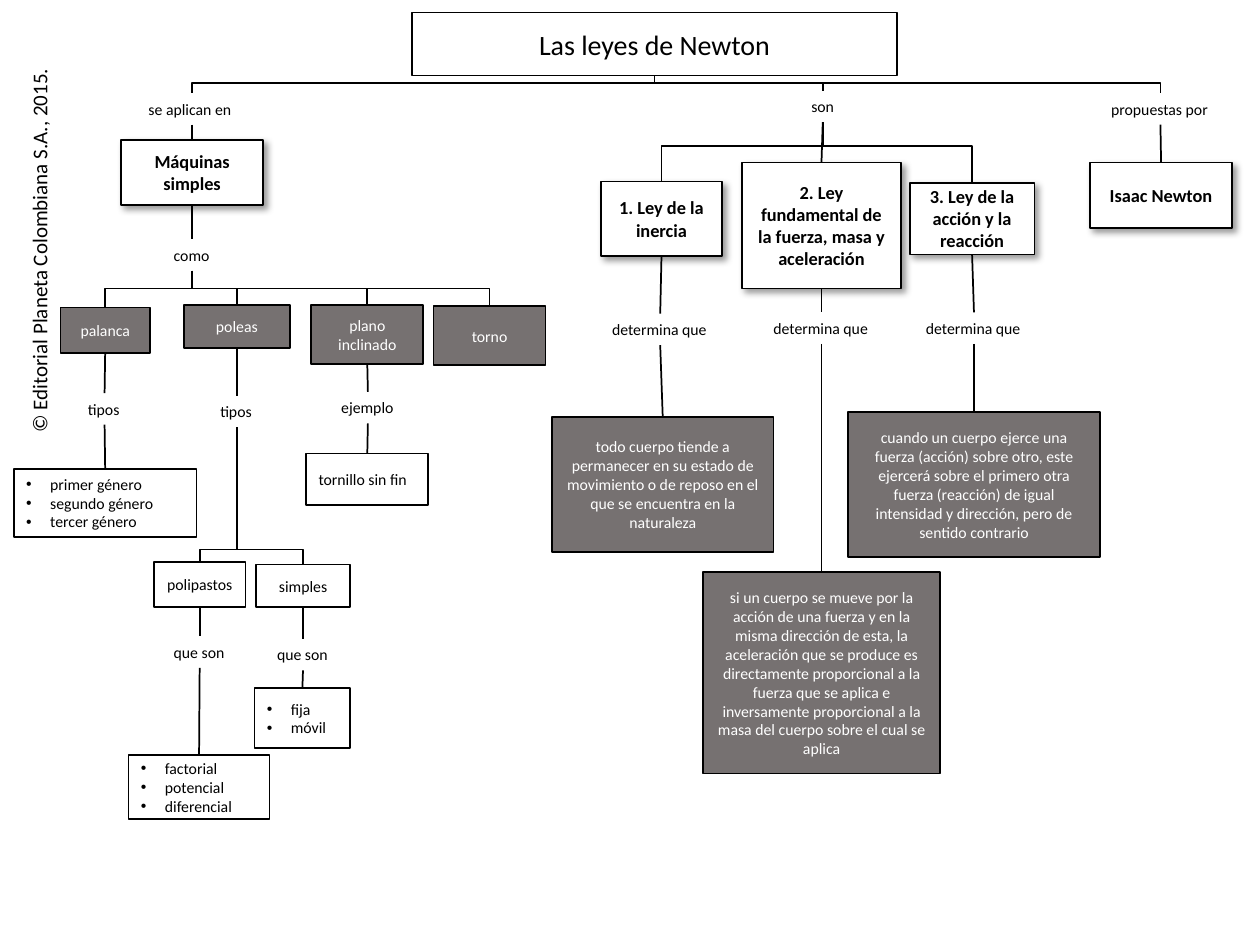
from lxml import etree
from pptx import Presentation
from pptx.dml.color import RGBColor
from pptx.enum.shapes import MSO_CONNECTOR, MSO_SHAPE
from pptx.enum.text import MSO_ANCHOR, MSO_AUTO_SIZE, PP_ALIGN
from pptx.oxml import parse_xml
from pptx.oxml.ns import nsdecls, qn
from pptx.util import Inches, Pt

BLACK = RGBColor(0x00, 0x00, 0x00)
WHITE = RGBColor(0xFF, 0xFF, 0xFF)
GRAY = RGBColor(0x76, 0x71, 0x71)
FONT = "Calibri"
RECTANGLE = MSO_SHAPE.RECTANGLE
STRAIGHT, ELBOW = MSO_CONNECTOR.STRAIGHT, MSO_CONNECTOR.ELBOW
MIDDLE, NO_AUTOFIT = MSO_ANCHOR.MIDDLE, MSO_AUTO_SIZE.NONE
LEFT, CENTER = PP_ALIGN.LEFT, PP_ALIGN.CENTER

SHADOW = (
    f'<a:effectLst {nsdecls("a")}><a:outerShdw blurRad="50800" dist="38100" '
    'dir="2700000" algn="tl" rotWithShape="0"><a:srgbClr val="000000">'
    '<a:alpha val="40000"/></a:srgbClr></a:outerShdw></a:effectLst>'
)

# style: fill, text colour, size, bold, alignment
STYLES = {
    "title": (WHITE, BLACK, 16, False, CENTER),
    "concept": (WHITE, BLACK, 10.5, True, CENTER),
    "dark": (GRAY, WHITE, 9, False, CENTER),
    "light": (WHITE, BLACK, 9, False, CENTER),
    "example": (WHITE, BLACK, 9, False, LEFT),
    "list": (WHITE, BLACK, 9, False, LEFT),
    "link": (None, BLACK, 9, False, LEFT),
}

# node: style, left, top, width, height, paragraphs
NODES = {
    "leyes": ("title", 3.27, 0.1, 3.85, 0.5, ["Las leyes de Newton"]),
    "se aplican": ("link", 1.08, 0.74, 0.89, 0.25, ["se aplican en"]),
    "son": ("link", 6.34, 0.72, 0.38, 0.25, ["son"]),
    "propuestas": ("link", 8.72, 0.74, 0.98, 0.25, ["propuestas por"]),
    "máquinas": ("concept", 0.96, 1.11, 1.13, 0.52, ["Máquinas simples"]),
    "ley 1": ("concept", 4.77, 1.44, 0.96, 0.59, ["1. Ley de la inercia"]),
    "ley 2": ("concept", 5.89, 1.29, 1.26, 1,
              ["2. Ley fundamental de la fuerza, masa y aceleración"]),
    "ley 3": ("concept", 7.22, 1.45, 0.99, 0.57, ["3. Ley de la acción y la reacción"]),
    "newton": ("concept", 8.65, 1.29, 1.13, 0.52, ["Isaac Newton"]),
    "como": ("link", 1.28, 1.9, 0.49, 0.25, ["como"]),
    "palanca": ("dark", 0.48, 2.44, 0.71, 0.36, ["palanca"]),
    "poleas": ("dark", 1.46, 2.42, 0.84, 0.34, ["poleas"]),
    "plano": ("dark", 2.47, 2.42, 0.89, 0.47, ["plano inclinado"]),
    "torno": ("dark", 3.44, 2.43, 0.89, 0.47, ["torno"]),
    "tipos palanca": ("link", 0.6, 3.12, 0.46, 0.25, ["tipos"]),
    "tipos poleas": ("link", 1.65, 3.14, 0.46, 0.25, ["tipos"]),
    "ejemplo": ("link", 2.61, 3.11, 0.62, 0.25, ["ejemplo"]),
    "géneros": ("list", 0.11, 3.72, 1.45, 0.54,
                ["primer género", "segundo género", "tercer género"]),
    "tornillo": ("example", 2.43, 3.6, 0.97, 0.41, ["tornillo sin fin"]),
    "polipastos": ("light", 1.22, 4.46, 0.73, 0.36, ["polipastos"]),
    "simples": ("light", 2.03, 4.48, 0.75, 0.34, ["simples"]),
    "son polipastos": ("link", 1.28, 5.05, 0.61, 0.25, ["que son"]),
    "son simples": ("link", 2.1, 5.07, 0.61, 0.25, ["que son"]),
    "clases polipastos": ("list", 1.02, 5.99, 1.12, 0.51,
                          ["factorial", "potencial", "diferencial"]),
    "clases simples": ("list", 2.02, 5.46, 0.76, 0.48, ["fija", "móvil"]),
    "determina 1": ("link", 4.76, 2.49, 0.96, 0.25, ["determina que"]),
    "determina 2": ("link", 6.04, 2.48, 0.96, 0.25, ["determina que"]),
    "determina 3": ("link", 7.25, 2.48, 0.96, 0.25, ["determina que"]),
    "enunciado 1": ("dark", 4.38, 3.31, 1.76, 1.07, [
        "todo cuerpo tiende a permanecer en su estado de movimiento o de reposo "
        "en el que se encuentra en la naturaleza"]),
    "enunciado 2": ("dark", 5.58, 4.54, 1.88, 1.6, [
        "si un cuerpo se mueve por la acción de una fuerza y en la misma dirección "
        "de esta, la aceleración que se produce es directamente proporcional a la "
        "fuerza que se aplica e inversamente proporcional a la masa del cuerpo "
        "sobre el cual se aplica"]),
    "enunciado 3": ("dark", 6.73, 3.27, 2, 1.15, [
        "cuando un cuerpo ejerce una fuerza (acción) sobre otro, este ejercerá "
        "sobre el primero otra fuerza (reacción) de igual intensidad y dirección, "
        "pero de sentido contrario"]),
}

# chains of straight lines, each node to the next
CHAINS = [
    ["se aplican", "máquinas", "como"],
    ["palanca", "tipos palanca", "géneros"],
    ["poleas", "tipos poleas"],
    ["plano", "ejemplo", "tornillo"],
    ["polipastos", "son polipastos", "clases polipastos"],
    ["simples", "son simples", "clases simples"],
    ["son", "ley 2", "determina 2", "enunciado 2"],
    ["ley 1", "determina 1", "enunciado 1"],
    ["ley 3", "determina 3", "enunciado 3"],
    ["propuestas", "newton"],
]

# branching: parent, height of the horizontal stretch, children
BRANCHES = [
    ("leyes", 0.66, ["se aplican", "son", "propuestas"]),
    ("son", 1.16, ["ley 1", "ley 3"]),
    ("como", 2.29, ["palanca", "poleas", "plano", "torno"]),
    ("tipos poleas", 4.36, ["polipastos", "simples"]),
]


def link_ends(parent, child):
    """Return the bottom centre of the parent and the top centre of the child."""
    _, left, top, width, height, _ = NODES[parent]
    _, child_left, child_top, child_width, _, _ = NODES[child]
    return left + width / 2, top + height, child_left + child_width / 2, child_top


def add_link(kind, x1, y1, x2, y2):
    link = slide.shapes.add_connector(kind, Inches(x1), Inches(y1), Inches(x2), Inches(y2))
    link.line.color.rgb = BLACK
    link.line.width = Pt(1)
    etree.SubElement(link._element.spPr, qn("a:effectLst"))
    return link


prs = Presentation()
prs.slide_width, prs.slide_height = Inches(10), Inches(7.5)
slide = prs.slides.add_slide(prs.slide_layouts[5])

copyright_line = slide.shapes.add_textbox(Inches(-1.25), Inches(1.82), Inches(3.12), Inches(0.3))
copyright_line.rotation = 270
copyright_line.text_frame.word_wrap = False
run = copyright_line.text_frame.paragraphs[0].add_run()
run.text = "© Editorial Planeta Colombiana S.A., 2015."
run.font.name, run.font.size = FONT, Pt(12)
run.font.color.rgb = BLACK

for chain in CHAINS:
    for parent, child in zip(chain, chain[1:]):
        add_link(STRAIGHT, *link_ends(parent, child))

for parent, bus, children in BRANCHES:
    for child in children:
        x1, y1, x2, y2 = link_ends(parent, child)
        run_x, run_y = abs(x2 - x1), y2 - y1
        # An elbow starts sideways, so it is laid out on its side and then turned
        left = (x1 + x2 - run_y) / 2
        top = (y1 + y2 - run_x) / 2
        elbow = add_link(ELBOW, left, top, left + run_y, top + run_x)
        xfrm = elbow._element.spPr.find(qn("a:xfrm"))
        if x2 < x1:
            xfrm.set("rot", "5400000")
        else:
            xfrm.set("rot", "16200000")
            xfrm.set("flipH", "1")
        adjustments = elbow._element.spPr.find(qn("a:prstGeom")).get_or_add_avLst()
        bend = round((bus - y1) / run_y * 100000)
        etree.SubElement(adjustments, qn("a:gd"), name="adj1", fmla=f"val {bend}")

for style, left, top, width, height, paragraphs in NODES.values():
    fill, color, size, bold, alignment = STYLES[style]
    place = Inches(left), Inches(top), Inches(width), Inches(height)
    if style == "title":
        node = slide.shapes.title
        node.left, node.top, node.width, node.height = place
    elif style == "link":
        node = slide.shapes.add_textbox(*place)
    else:
        node = slide.shapes.add_shape(RECTANGLE, *place)
        node.shadow.inherit = False
    if fill is not None:
        node.fill.solid()
        node.fill.fore_color.rgb = fill
        node.line.color.rgb = BLACK
        node.line.width = Pt(1)
    if style == "concept":
        properties = node._element.spPr
        properties.replace(properties.find(qn("a:effectLst")), parse_xml(SHADOW))

    frame = node.text_frame
    frame.auto_size = NO_AUTOFIT
    frame.word_wrap = style != "link"
    if style != "link":
        frame.vertical_anchor = MIDDLE
    for index, text in enumerate(paragraphs):
        paragraph = frame.paragraphs[0] if index == 0 else frame.add_paragraph()
        paragraph.alignment = alignment
        if style == "list":
            bullet = paragraph._p.get_or_add_pPr()
            bullet.set("marL", str(Inches(0.19)))
            bullet.set("indent", str(-Inches(0.19)))
            etree.SubElement(bullet, qn("a:buFont"), typeface="Arial")
            etree.SubElement(bullet, qn("a:buChar"), char="•")
        run = paragraph.add_run()
        run.text = text
        run.font.name, run.font.size, run.font.bold = FONT, Pt(size), bold
        run.font.color.rgb = color

prs.save("out.pptx")
